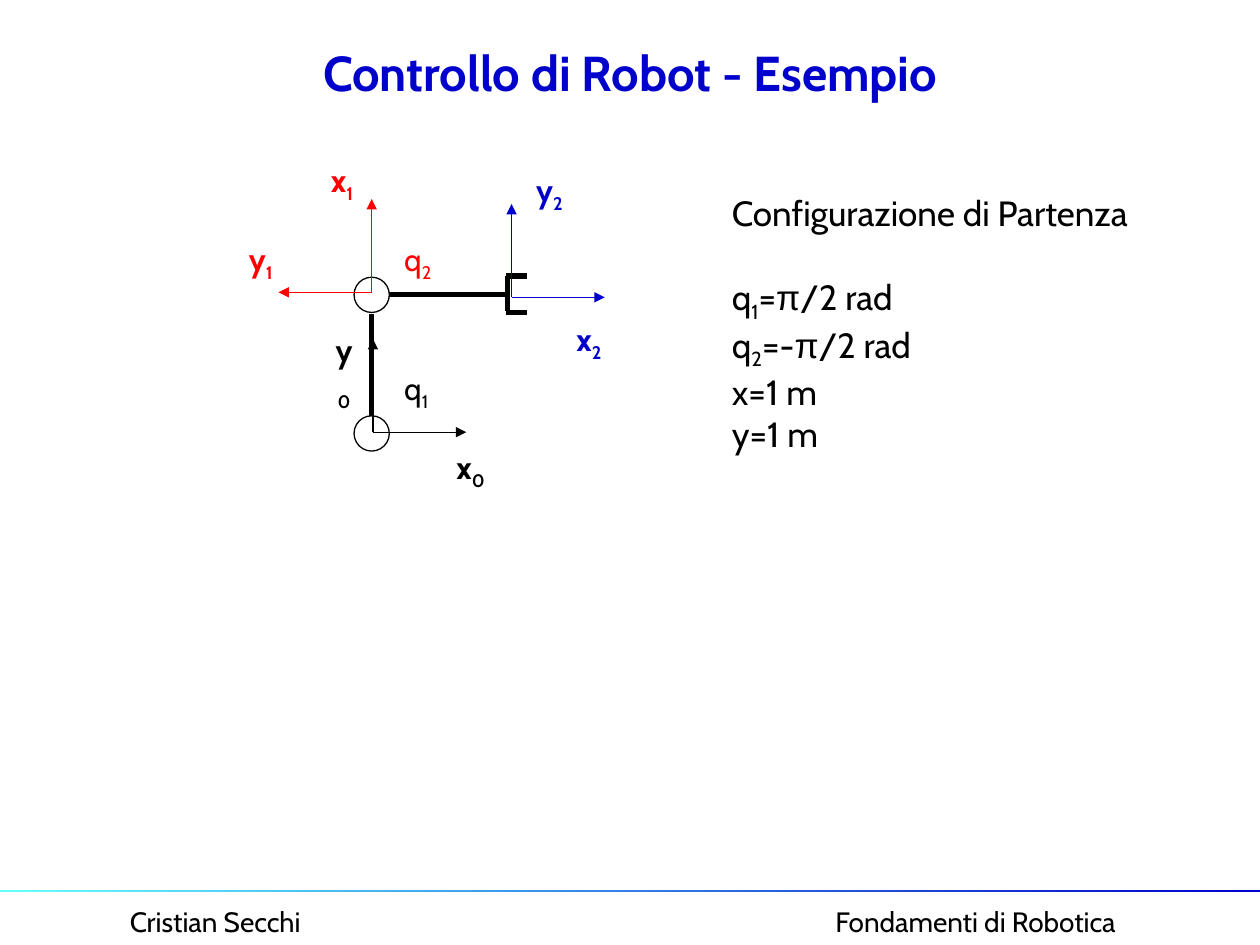
import pptx
import pptx.util
import pptx.dml.color
import pptx.enum.shapes
import pptx.enum.text
import pptx.oxml.ns
from lxml import etree
from pptx.util import Inches

COLORS = {"black": "000000", "white": "FFFFFF", "red": "FF0000",
          "blue": "0000CC", "cyan": "66FFFF"}
FONT = "Cabin"
SUB = "sub"
ALIGN = pptx.enum.text.PP_ALIGN
SHAPE = pptx.enum.shapes.MSO_SHAPE


def rgb(name):
    return pptx.dml.color.RGBColor.from_string(COLORS[name])


def add_run(p, text, size, color="black", bold=False, font=FONT, sub=False):
    r = p.add_run()
    r.text = text
    r.font.name = font
    r.font.size = pptx.util.Pt(size)
    r.font.bold = bold
    r.font.color.rgb = rgb(color)
    if sub:
        r._r.get_or_add_rPr().set("baseline", "-25000")


def add_text_box(s, x, y, w, h, wrap=True):
    tf = s.shapes.add_textbox(Inches(x), Inches(y), Inches(w), Inches(h)).text_frame
    tf.word_wrap = wrap
    return tf


def add_line(s, start, end, color="black", width=3, arrow=False):
    c = s.shapes.add_connector(pptx.enum.shapes.MSO_CONNECTOR.STRAIGHT,
                               *(Inches(v) for v in (*start, *end)))
    c.line.color.rgb = rgb(color)
    c.line.width = pptx.util.Pt(width)
    if arrow:
        etree.SubElement(c.line._get_or_add_ln(), pptx.oxml.ns.qn("a:tailEnd"),
                         type="triangle")
    etree.SubElement(c._element.spPr, pptx.oxml.ns.qn("a:effectLst"))


def add_title(s, x, y, w, h):
    sp = s.shapes.title
    sp.left, sp.top, sp.width, sp.height = (Inches(v) for v in (x, y, w, h))
    tf = sp.text_frame
    tf.vertical_anchor = pptx.enum.text.MSO_ANCHOR.MIDDLE
    p = tf.paragraphs[0]
    p.alignment = ALIGN.CENTER
    add_run(p, "Controllo di Robot - Esempio", 28, "blue", True)


def add_footer(s, x, y, w):
    # Gradient rule
    sp = s.shapes.add_shape(SHAPE.RECTANGLE, Inches(x), Inches(y), Inches(w), Inches(0.02))
    sp.shadow.inherit = False
    sp.line.fill.background()
    sp.fill.gradient()
    sp.fill.gradient_angle = 0
    for stop, color in zip(sp.fill.gradient_stops, ("cyan", "blue")):
        stop.color.rgb = rgb(color)

    # Author and course, set apart by a tab stop
    tf = add_text_box(s, x, y + 0.07, w - 0.11, 0.37)
    tf.margin_left = Inches(1.03)
    p = tf.paragraphs[0]
    tabs = etree.SubElement(p._p.get_or_add_pPr(), pptx.oxml.ns.qn("a:tabLst"))
    etree.SubElement(tabs, pptx.oxml.ns.qn("a:tab"), pos=str(Inches(5.6)), algn="l")
    add_run(p, "Cristian Secchi\tFondamenti di Robotica", 16)


def add_arm(s, x, y):
    def at(dx, dy):
        return x + dx, y + dy

    # Links and gripper
    add_line(s, at(1.09, 2.2), at(1.09, 1.26))
    add_line(s, at(1.23, 1.11), at(2.17, 1.11))
    add_line(s, at(2.17, 0.96), at(2.17, 1.24))
    for dy in (1.25, 0.96):
        add_line(s, at(2.16, dy), at(2.32, dy))

    # Joints
    d = 0.28
    for dy in (1.11, 2.21):
        cx, cy = at(1.09, dy)
        sp = s.shapes.add_shape(SHAPE.OVAL, Inches(cx - d / 2), Inches(cy - d / 2),
                                Inches(d), Inches(d))
        sp.shadow.inherit = False
        sp.fill.solid()
        sp.fill.fore_color.rgb = rgb("white")
        sp.line.color.rgb = rgb("black")
        sp.line.width = pptx.util.Pt(0.75)

    # Reference frames: origin, then the directions of both axes
    axis = 0.74
    frames = [("black", (1.1, 2.2), ((0, -1), (1, 0))),
              ("red", (1.09, 1.09), ((-1, 0), (0, -1))),
              ("blue", (2.2, 1.13), ((0, -1), (1, 0)))]
    for color, (ox, oy), directions in frames:
        for ux, uy in directions:
            add_line(s, at(ox, oy), at(ox + axis * ux, oy + axis * uy),
                     color, 0.75, arrow=True)

    # Axis and joint labels; the index of y0 falls on a second line
    labels = [("x", "0", "black", 1.66, 2.28), ("y", "0", "black", 0.66, 1.35),
              ("x", "1", "red", 0.64, 0), ("y", "1", "red", 0, 0.63),
              ("x", "2", "blue", 2.6, 1.26), ("y", "2", "blue", 2.29, 0.08),
              ("q", "1", "black", 1.25, 1.65), ("q", "2", "red", 1.25, 0.63)]
    for name, index, color, dx, dy in labels:
        is_axis = name != "q"
        tf = add_text_box(s, *at(dx, dy), 0.42 if name == "y" else 0.43, 0.44,
                          wrap=name + index == "y0")
        p = tf.paragraphs[0]
        p.alignment = ALIGN.CENTER if is_axis else ALIGN.LEFT
        add_run(p, name, 18, color, is_axis)
        add_run(p, index, 18, color, is_axis, sub=True)


def add_configuration(s, x, y, w, h):
    tf = add_text_box(s, x, y, w, h)
    add_run(tf.paragraphs[0], "Configurazione di Partenza", 20)
    lines = [[("q", FONT), ("1", SUB), ("=", FONT), ("π", "Arial"), ("/2 rad", FONT)],
             [("q", FONT), ("2", SUB), ("=-", FONT), ("π", "Arial"), ("/2 rad", FONT)],
             [("x=1 m", FONT)],
             [("y=1 m", FONT)]]
    for i, parts in enumerate(lines):
        p = tf.add_paragraph()
        if i == 0:
            p.space_before = pptx.util.Pt(24)
        for text, style in parts:
            sub = style == SUB
            add_run(p, text, 20, font=FONT if sub else style, sub=sub)


def main():
    prs = pptx.Presentation()
    prs.slide_width, prs.slide_height = Inches(10), Inches(7.5)
    s = prs.slides.add_slide(prs.slide_layouts[5])
    add_footer(s, 0, 7.06, 10)
    add_title(s, 0.5, 0.3, 9, 0.54)
    add_arm(s, 1.86, 1.23)
    add_configuration(s, 5.71, 1.47, 3.78, 2.19)
    prs.save("out.pptx")


if __name__ == "__main__":
    main()
